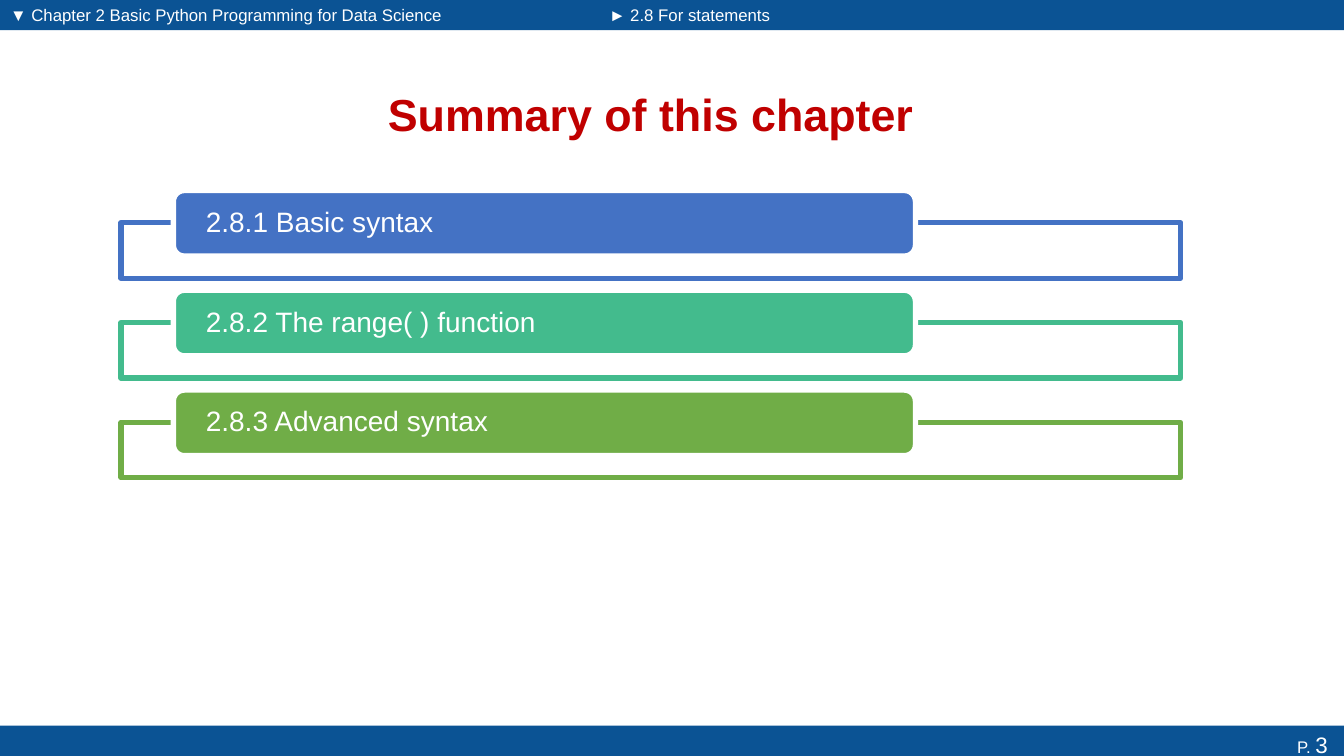
from typing import NamedTuple

from lxml.etree import SubElement
from pptx import Presentation
from pptx.dml.color import RGBColor
from pptx.enum.shapes import MSO_SHAPE as Kind
from pptx.enum.text import MSO_ANCHOR as Anchor, MSO_AUTO_SIZE as Fit, PP_ALIGN as Align
from pptx.oxml.ns import qn
from pptx.util import Inches, Pt

NAVY, WHITE, RED = "0B5394", "FFFFFF", "C00000"


class Box(NamedTuple):
    left: float
    top: float
    width: float
    height: float


class Topic(NamedTuple):
    text: str
    color: str


class Label(NamedTuple):
    text: str
    box: Box


BARS = [Box(0, 0, 5.93, 0.3), Box(5.93, 0, 7.4, 0.3)]
FOOTER = Box(0, 7.2, 13.33, 0.37)
LABELS = [
    Label("▼ Chapter 2 Basic Python Programming for Data Science", Box(0, 0, 4.83, 0.29)),
    Label("► 2.8 For statements", Box(5.94, 0, 2.57, 0.29)),
]
TOPICS = [
    Topic("2.8.1 Basic syntax", "4472C4"),
    Topic("2.8.2 The range( ) function", "43BB8D"),
    Topic("2.8.3 Advanced syntax", "70AD47"),
]
FIRST, STEP = 1.89, 0.99


def rgb(code: str) -> RGBColor:
    return RGBColor.from_string(code)


def add_box(slide, kind: Kind, box: Box, fill: str, line: str = ""):
    shape = slide.shapes.add_shape(kind, *map(Inches, box))
    shape.shadow.inherit = False
    shape.fill.solid()
    shape.fill.fore_color.rgb = rgb(fill)
    if line:
        shape.line.color.rgb = rgb(line)
        shape.line.width = Pt(3.78)
    else:
        shape.line.fill.background()
    return shape


def add_run(para, text: str, size: float, color: str = WHITE, bold: bool = False) -> None:
    run = para.add_run()
    run.text = text
    font = run.font
    font.name, font.size, font.bold = "Arial", Pt(size), bold
    font.color.rgb = rgb(color)


def place(holder, box: Box, anchor: Anchor):
    """Move a placeholder to its box, in front of the bars, and return its paragraph."""
    holder.left, holder.top, holder.width, holder.height = map(Inches, box)
    tree = holder.element.getparent()
    tree.append(holder.element)
    frame = holder.text_frame
    frame.word_wrap = True
    frame.auto_size = Fit.NONE
    frame.vertical_anchor = anchor
    return frame.paragraphs[0]


def add_footer(slide) -> None:
    frame = add_box(slide, Kind.RECTANGLE, FOOTER, NAVY).text_frame
    frame.vertical_anchor = Anchor.MIDDLE
    para = frame.paragraphs[0]
    para.alignment = Align.RIGHT
    add_run(para, "P. ", 12)
    add_run(para, "3 ", 16)


def add_label(holder, label: Label) -> None:
    para = place(holder, label.box, Anchor.TOP)
    para.space_before = Pt(0)
    props = para._p.get_or_add_pPr()
    props.set("marL", str(Inches(0.38)))
    props.set("indent", str(Inches(-0.38)))
    SubElement(props, qn("a:buNone"))
    add_run(para, label.text, 12)


def add_topic(slide, topic: Topic, top: float) -> None:
    add_box(slide, Kind.RECTANGLE, Box(1.2, top + 0.32, 10.51, 0.55), WHITE, topic.color)
    tab = add_box(slide, Kind.ROUNDED_RECTANGLE, Box(1.72, top, 7.36, 0.65), topic.color, WHITE)
    frame = tab.text_frame
    frame.word_wrap = True
    frame.vertical_anchor = Anchor.MIDDLE
    frame.margin_left = frame.margin_right = Inches(0.29)
    frame.margin_top = frame.margin_bottom = 0
    para = frame.paragraphs[0]
    para.alignment = Align.LEFT
    para.line_spacing = 0.9
    add_run(para, topic.text, 20)


def main() -> None:
    deck = Presentation()
    deck.slide_width, deck.slide_height = Inches(13.33), Inches(7.5)
    slide = deck.slides.add_slide(deck.slide_layouts.get_by_name("Two Content"))
    title, *bodies = list(slide.placeholders)

    for bar in BARS:
        add_box(slide, Kind.RECTANGLE, bar, NAVY)
    add_footer(slide)

    head = place(title, Box(2.51, 0.68, 7.89, 0.9), Anchor.MIDDLE)
    head.alignment = Align.CENTER
    add_run(head, "Summary of this chapter", 32, RED, True)
    for holder, label in zip(bodies, LABELS):
        add_label(holder, label)

    for row, topic in enumerate(TOPICS):
        add_topic(slide, topic, FIRST + row * STEP)
    deck.save("out.pptx")


if __name__ == "__main__":
    main()
